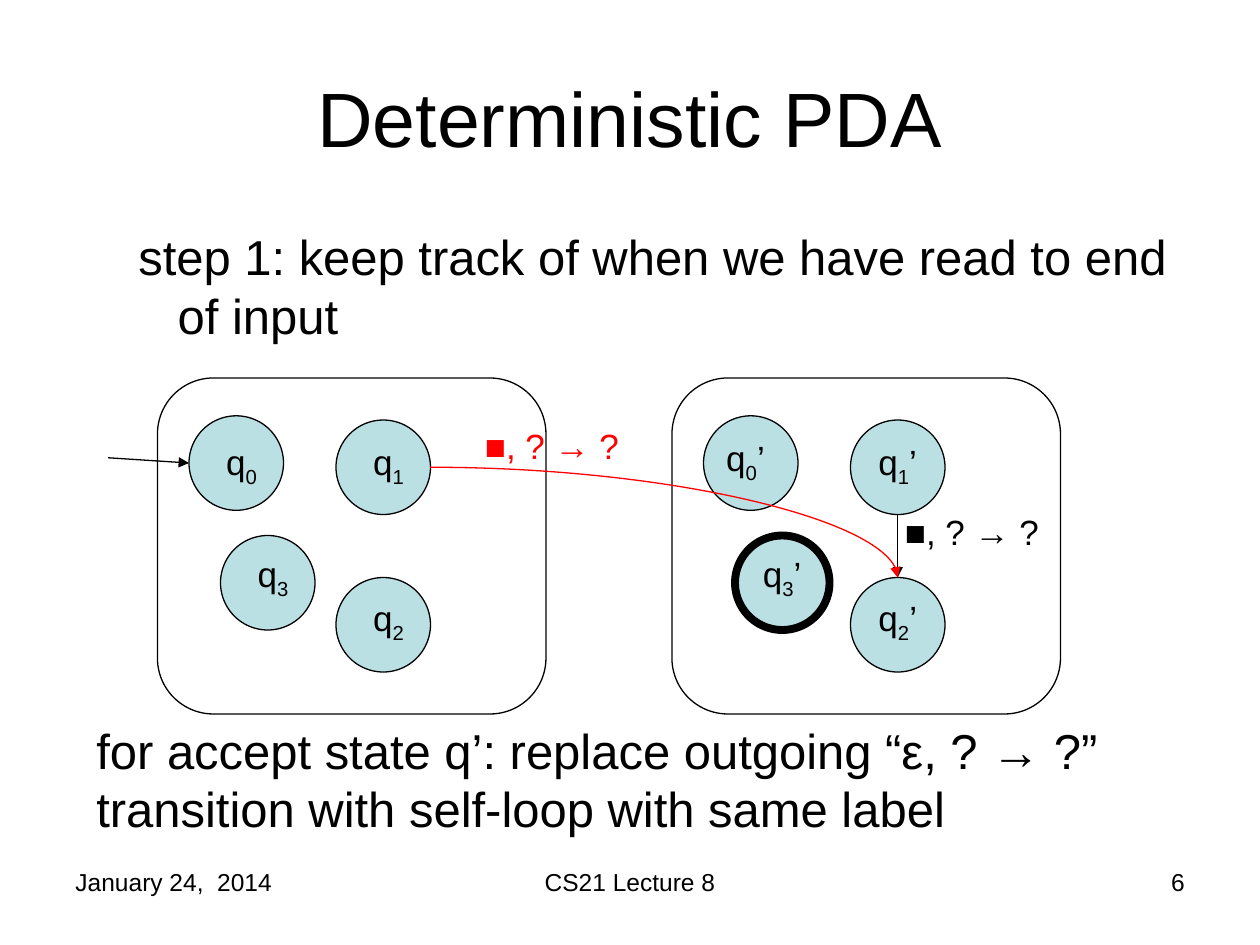
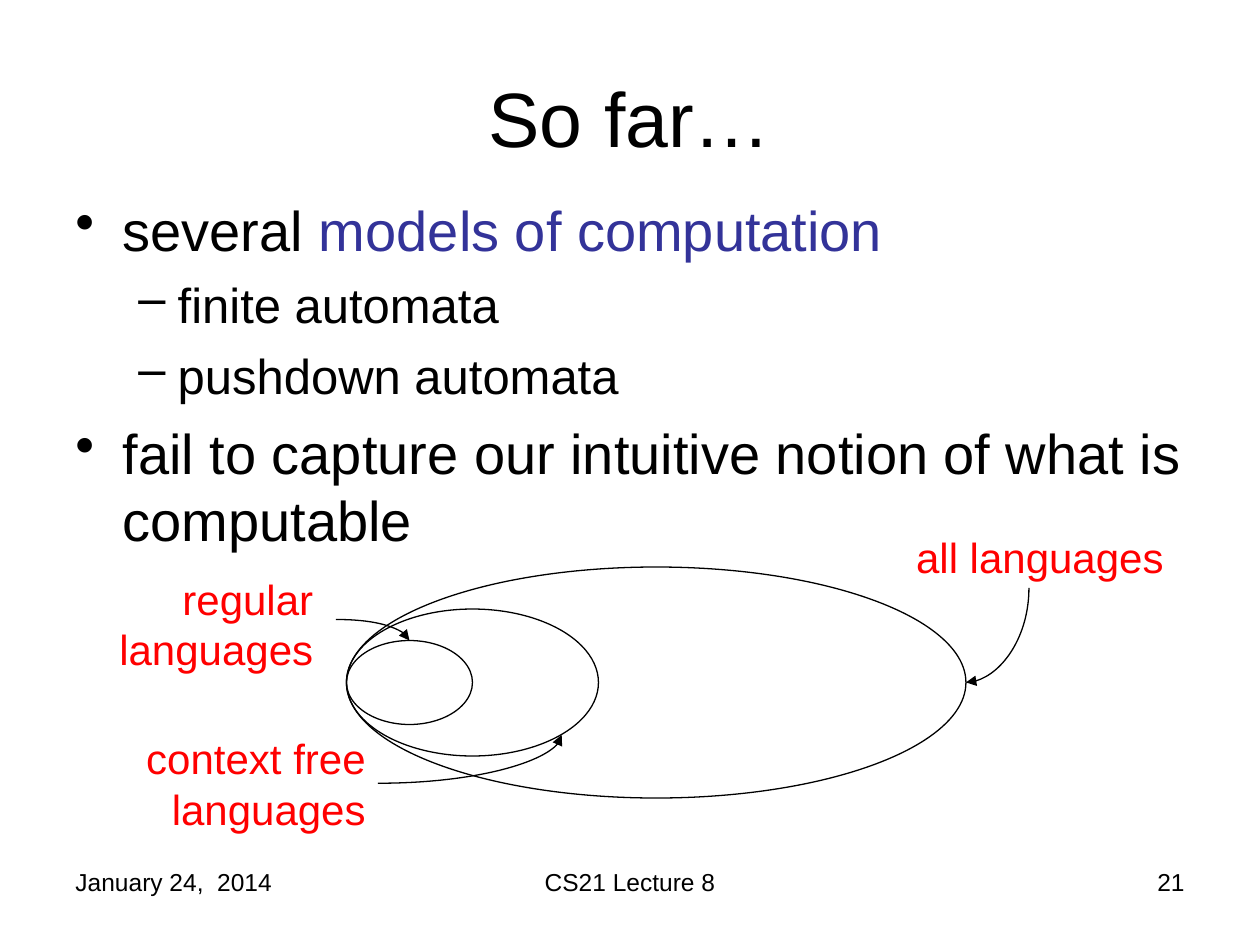
from dataclasses import dataclass

from lxml import etree
from pptx import Presentation
from pptx import util as u
from pptx.dml.color import RGBColor
from pptx.enum import shapes, text
from pptx.oxml import ns

# The grid has 120 columns and 90 rows, twelve to the inch.
CELL = u.Inches(1) // 12
COLUMNS, ROWS = 120, 90

FONT = "Arial"
BLACK = RGBColor(0x00, 0x00, 0x00)
RED = RGBColor(0xFF, 0x00, 0x00)
INDIGO = RGBColor(0x33, 0x33, 0x99)
PALE_TEAL = RGBColor(0xBB, 0xE0, 0xE3)

THIN, THICK = 0.75, 4.5
LABEL_SPACING, BODY_SPACING = 0.625, 0.25  # space before, as a share of text size

LEFT, CENTER, RIGHT = text.PP_ALIGN.LEFT, text.PP_ALIGN.CENTER, text.PP_ALIGN.RIGHT
OVAL = shapes.MSO_SHAPE.OVAL
ROUNDED = shapes.MSO_SHAPE.ROUNDED_RECTANGLE

DATE, COURSE = "January 24,  2014", "CS21 Lecture 8"
READ_END = "■, ? → ?"
STATE_SIZE = 9
PANEL_STEP = 49


@dataclass(frozen=True)
class Area:
    col: float
    row: float
    cols: float
    rows: float

    def lengths(self) -> list[int]:
        return [grid(n) for n in (self.col, self.row, self.cols, self.rows)]


@dataclass(frozen=True)
class Span:
    words: str
    color: RGBColor = BLACK
    subscript: bool = False


@dataclass(frozen=True)
class Level:
    size: int
    margin: float
    indent: float
    bullet: str = ""


@dataclass(frozen=True)
class Point:
    level: Level
    spans: list[Span]


@dataclass(frozen=True)
class State:
    number: int
    col: float
    row: float
    label: Area
    primed: bool = False
    accepting: bool = False


@dataclass(frozen=True)
class Arrow:
    start: tuple[float, float]
    end: tuple[float, float]
    color: RGBColor = BLACK
    curved: bool = False
    tip: str = "tailEnd"


TOPIC = Level(32, 0.375, -0.375, "•")
DETAIL = Level(28, 0.8125, -0.3125, "–")
STEP = Level(28, 0.8125, -0.3125)

STATES = [
    State(0, 18, 39.6, Area(20, 41.4, 6, 5.75)),
    State(3, 21, 51, Area(23, 52, 6, 5.75)),
    State(1, 32, 40, Area(34, 41.4, 6, 5.75)),
    State(2, 32, 55, Area(34, 56.2, 6, 5.75)),
    State(0, 18 + PANEL_STEP, 39.6, Area(67, 41, 8, 5.75), primed=True),
    State(3, 21 + PANEL_STEP, 51, Area(71, 52, 7, 5.75), primed=True, accepting=True),
    State(1, 32 + PANEL_STEP, 40, Area(82, 41.4, 7, 5.75), primed=True),
    State(2, 32 + PANEL_STEP, 55, Area(81, 56.2, 9, 5.75), primed=True),
]
TRANSITIONS = [
    Arrow((10.3, 43.6), (18, 44.1)),
    Arrow((85.5, 49), (85.5, 55)),
    Arrow((41, 44.5), (85.5, 55), RED, curved=True),
]
TRANSITION_LABELS = [
    (Area(45, 39.8, 17, 5.3), RED),
    (Area(85, 48, 17, 5.3), BLACK),
]

CLASS_LEFT, CLASS_MIDDLE = 33, 65
LANGUAGE_CLASSES = [(59, 22), (24, 14), (12, 8)]
CLASS_LABELS = [
    ("regular languages", Area(9, 54, 22, 10.8)),
    ("context free languages", Area(8, 69.2, 28, 10.8)),
    ("all languages", Area(84, 50, 28, 6)),
]
CLASS_ARROWS = [
    Arrow((32, 59), (39, 61), curved=True),
    Arrow((36, 74.6), (53.5, 70), curved=True),
    Arrow((92, 65), (98, 56), curved=True, tip="headEnd"),
]


def grid(cells: float) -> int:
    return round(cells * CELL)


def fill_paragraph(paragraph, spans: list[Span], size: float) -> None:
    for span in spans:
        run = paragraph.add_run()
        run.text = span.words
        run.font.name = FONT
        run.font.size = u.Pt(size)
        run.font.color.rgb = span.color
        if span.subscript:
            run.font._element.set("baseline", "-25000")


def add_frame(slide, area: Area):
    frame = slide.shapes.add_textbox(*area.lengths()).text_frame
    frame.word_wrap = True
    return frame


def add_line_of_text(slide, area: Area, spans: list[Span], size: float,
                     align=LEFT, spacing: float = 0):
    """Add a box with one paragraph; spacing is a share of the text size."""
    frame = add_frame(slide, area)
    paragraph = frame.paragraphs[0]
    paragraph.alignment = align
    paragraph.space_before = u.Pt(size * spacing)
    fill_paragraph(paragraph, spans, size)
    return frame


def add_label(slide, area: Area, spans: list[Span], size: float, align=LEFT) -> None:
    frame = add_line_of_text(slide, area, spans, size, align, LABEL_SPACING)
    frame.auto_size = text.MSO_AUTO_SIZE.SHAPE_TO_FIT_TEXT


def add_body(slide, area: Area, points: list[Point]) -> None:
    frame = add_frame(slide, area)
    for index, point in enumerate(points):
        paragraph = frame.add_paragraph() if index else frame.paragraphs[0]
        level = point.level
        paragraph.space_before = u.Pt(level.size * BODY_SPACING)
        properties = paragraph._p.get_or_add_pPr()
        properties.set("marL", str(u.Inches(level.margin)))
        properties.set("indent", str(u.Inches(level.indent)))
        if level.bullet:
            bullet = etree.SubElement(properties, ns.qn("a:buChar"))
            bullet.set("char", level.bullet)
        fill_paragraph(paragraph, point.spans, level.size)


def add_outline(slide, kind, area: Area, fill: RGBColor | None = None,
                width: float = THIN):
    shape = slide.shapes.add_shape(kind, *area.lengths())
    shape.shadow.inherit = False
    shape.line.color.rgb = BLACK
    shape.line.width = u.Pt(width)
    if fill is None:
        shape.fill.background()
    else:
        shape.fill.solid()
        shape.fill.fore_color.rgb = fill
    return shape


def add_arrow(slide, arrow: Arrow) -> None:
    kind = shapes.MSO_CONNECTOR.CURVE if arrow.curved else shapes.MSO_CONNECTOR.STRAIGHT
    ends = [grid(n) for n in (*arrow.start, *arrow.end)]
    connector = slide.shapes.add_connector(kind, *ends)
    connector.line.color.rgb = arrow.color
    connector.line.width = u.Pt(THIN)
    properties = connector._element.spPr
    if arrow.curved:  # a single bend: leaves sideways, arrives upright
        properties.find(ns.qn("a:prstGeom")).set("prst", "curvedConnector2")
    tip = etree.SubElement(connector.line._get_or_add_ln(), ns.qn(f"a:{arrow.tip}"))
    tip.set("type", "triangle")
    etree.SubElement(properties, ns.qn("a:effectLst"))


def add_slide(deck, title: str, number: int):
    """Add a slide with the shared title and footers."""
    slide = deck.slides.add_slide(deck.slide_layouts[6])
    footers = [(DATE, 6, 28, LEFT), (COURSE, 41, 38, CENTER), (str(number), 86, 28, RIGHT)]
    for words, col, cols, align in footers:
        add_line_of_text(slide, Area(col, 82, cols, 6.25), [Span(words)], 14, align)
    heading = add_line_of_text(slide, Area(6, 3.6, 108, 15), [Span(title)], 44, CENTER)
    heading.vertical_anchor = text.MSO_ANCHOR.MIDDLE
    return slide


def add_state(slide, state: State) -> None:
    circle = Area(state.col, state.row, STATE_SIZE, STATE_SIZE)
    add_outline(slide, OVAL, circle, PALE_TEAL, THICK if state.accepting else THIN)
    name = [Span("q"), Span(str(state.number), subscript=True)]
    if state.primed:
        name.append(Span("’"))
    add_label(slide, state.label, name, 20, CENTER)


def build_deterministic_pda(deck) -> None:
    slide = add_slide(deck, "Deterministic PDA", 6)
    for panel in range(2):
        add_outline(slide, ROUNDED, Area(15 + panel * PANEL_STEP, 36, 37, 32))
    step = "step 1: keep track of when we have read to end of input"
    add_body(slide, Area(6, 21, 108, 14), [Point(STEP, [Span(step)])])
    for state in STATES:
        add_state(slide, state)
    for area, color in TRANSITION_LABELS:
        add_label(slide, area, [Span(READ_END, color)], 20)
    for arrow in TRANSITIONS:
        add_arrow(slide, arrow)
    rule = ("for accept state q’: replace outgoing “ε, ? → ?” "
            "transition with self-loop with same label")
    add_label(slide, Area(8, 68, 103, 12.5), [Span(rule)], 28)


def build_so_far(deck) -> None:
    slide = add_slide(deck, "So far…", 21)
    for cols, rows in LANGUAGE_CLASSES:
        add_outline(slide, OVAL, Area(CLASS_LEFT, CLASS_MIDDLE - rows / 2, cols, rows))
    add_body(slide, Area(6, 18, 108, 37), [
        Point(TOPIC, [Span("several "), Span("models of computation", INDIGO)]),
        Point(DETAIL, [Span("finite automata")]),
        Point(DETAIL, [Span("pushdown automata")]),
        Point(TOPIC, [Span("fail to capture our intuitive notion of what is computable")]),
    ])
    for words, area in CLASS_LABELS:
        add_label(slide, area, [Span(words, RED)], 24, RIGHT)
    for arrow in CLASS_ARROWS:
        add_arrow(slide, arrow)


def main() -> None:
    deck = Presentation()
    deck.slide_width, deck.slide_height = grid(COLUMNS), grid(ROWS)
    build_deterministic_pda(deck)
    build_so_far(deck)
    deck.save("out.pptx")


if __name__ == "__main__":
    main()
